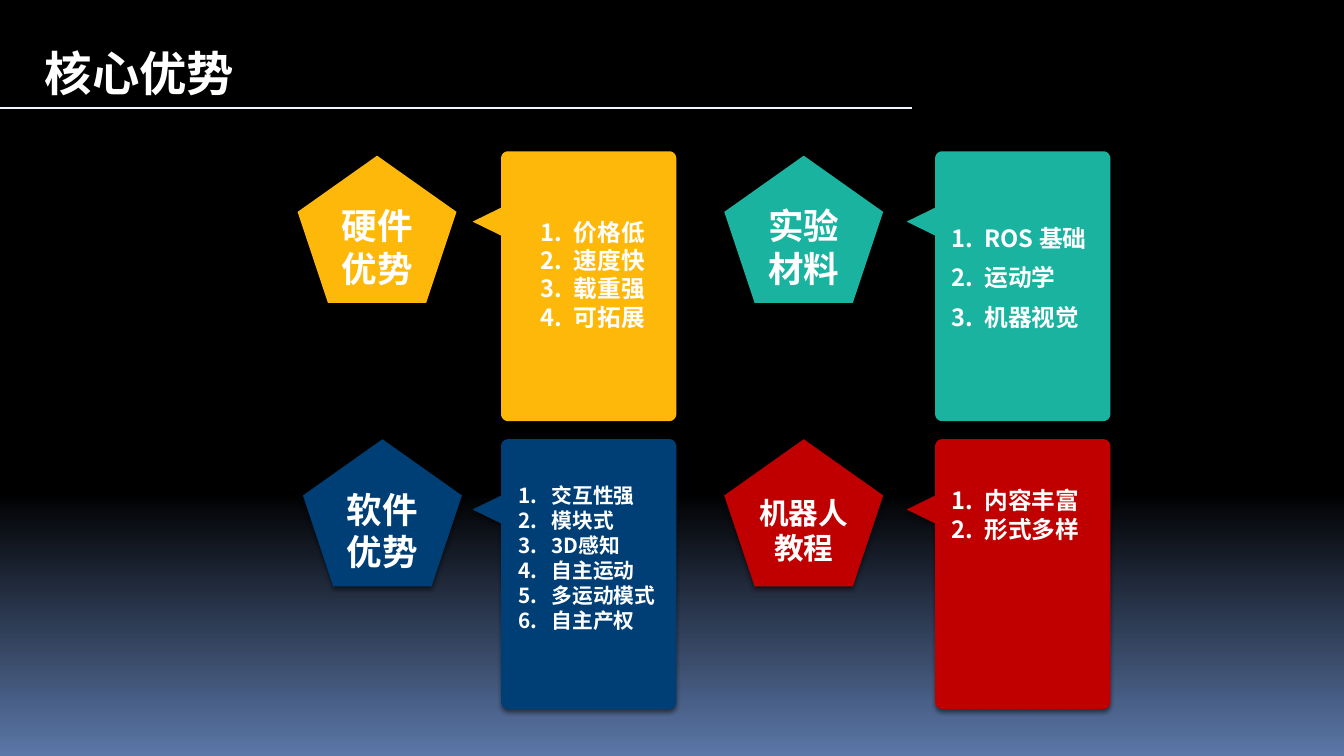
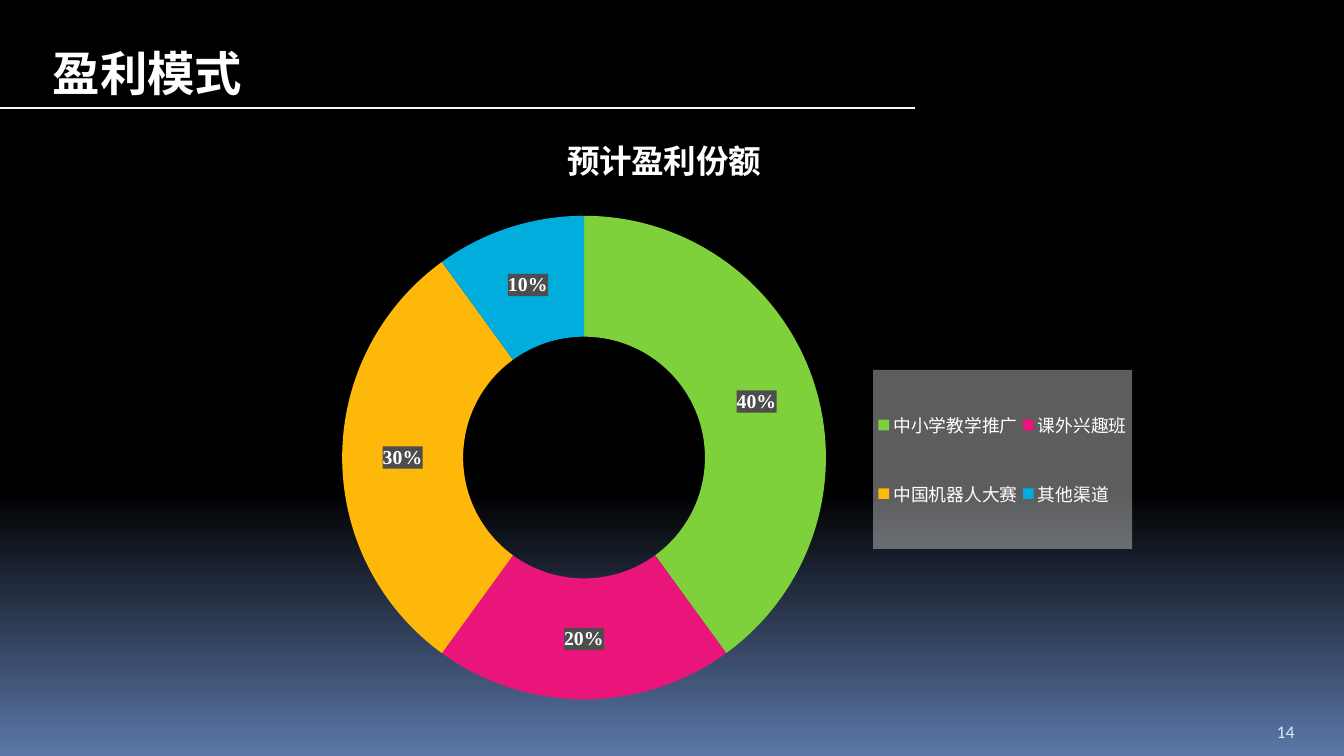
from math import cos, sin, radians
from pptx import Presentation
from pptx.chart.data import CategoryChartData as Data
from pptx.dml.color import RGBColor as RGB
from pptx.enum.chart import XL_CHART_TYPE as Kind, XL_LEGEND_POSITION as Side
from pptx.enum.shapes import MSO_CONNECTOR as Link, MSO_SHAPE as Form
from pptx.enum.text import MSO_ANCHOR as Anchor, MSO_AUTO_SIZE as Auto, PP_ALIGN as Align
from pptx.oxml import parse_xml
from pptx.oxml.ns import nsdecls, qn
from pptx.util import Pt
from lxml.etree import SubElement as Sub

WIDE, HIGH = 907.2, 510.48
SANS, SERIF = "Noto Sans CJK SC", "Times New Roman"
WHITE, RULE = "FFFFFF", "EFF7FF"

CARDS = [
    {"name": "硬件优势", "size": 24, "fill": "FEB80A", "col": 0, "row": 0, "x": 200.9,
     "list": ["价格低", "速度快", "载重强", "可拓展"],
     "box": (357.8, 143.3, 98, 104.4), "font": 16, "para": {}},
    {"name": "实验材料", "size": 24, "fill": "1AB39F", "col": 1, "row": 0, "x": 488.9,
     "list": ["ROS 基础", "运动学", "机器视觉"],
     "box": (635, 149.8, 114.5, 97.2), "font": 16,
     "para": {"line_spacing": 0.9, "space_before": Pt(9.3)}},
    {"name": "软件优势", "size": 24, "fill": "003F75", "col": 0, "row": 1, "x": 204.5,
     "list": ["交互性强", "模块式", "3D感知", "自主运动", "多运动模式", "自主产权"],
     "box": (342.7, 322.6, 113, 126), "font": 14, "para": {}},
    {"name": "机器人教程", "size": 20, "fill": "C00000", "col": 1, "row": 1, "x": 488.9,
     "list": ["内容丰富", "形式多样"],
     "box": (635, 324.7, 114.5, 65.5), "font": 16, "para": {}},
]
PENT_Y, PENT = (105.1, 296.6), (107.3, 99.4)
CALL_X, CALL_Y = (319, 612), (102.2, 296.6)
BODY, TIP, TIP_Y, HALF, RAD = (118.3, 182.2), 19.2, 47.5, 9.4, 4.8

SHARE = "预计盈利份额"
PARTS = [("中小学教学推广", 40, "7FD13B"), ("课外兴趣班", 20, "EA157A"),
         ("中国机器人大赛", 30, "FEB80A"), ("其他渠道", 10, "00ADDC")]
PLOT, KEY = (0.214, 0.165, 0.43, 0.81), (0.686, 0.423, 0.23, 0.3)


def hue(code):
    return RGB.from_string(code)


def pts(*vals):
    return [Pt(v) for v in vals]


def put(item, vals):
    for key, val in vals.items():
        setattr(item, key, val)


def style(font, size, name=SANS, color=WHITE, bold=True):
    font.color.rgb = hue(color)
    put(font, {"size": Pt(size), "bold": bold, "name": name})


def write(para, text, size, **look):
    run = para.add_run()
    run.text = text
    style(run.font, size, **look)
    Sub(run.font._element, qn("a:ea")).set("typeface", look.get("name", SANS))


def paint(shape, color):
    shape.fill.solid()
    shape.fill.fore_color.rgb = hue(color)
    shape.line.fill.background()
    shape.shadow.inherit = False
    glow = Sub(shape._element.spPr.find(qn("a:effectLst")), qn("a:outerShdw"),
               blurRad=str(Pt(3)), dist=str(Pt(2)), dir="5400000", rotWithShape="0")
    tint = Sub(glow, qn("a:srgbClr"), val="000000")
    Sub(tint, qn("a:alpha"), val="50000")


def start(deck, title, left, end):
    slide = deck.slides.add_slide(deck.slide_layouts[5])
    head = slide.shapes.title
    put(head, dict(zip(("left", "top", "width", "height"), pts(left, 24.8, 164, 48))))
    frame = head.text_frame
    put(frame, {"auto_size": Auto.NONE, "vertical_anchor": Anchor.MIDDLE, "word_wrap": True})
    frame.paragraphs[0].alignment = Align.LEFT
    write(frame.paragraphs[0], title, 32)
    rule = slide.shapes.add_connector(Link.STRAIGHT, *pts(0, 72.7, end, 72.7))
    rule.line.color.rgb = hue(RULE)
    rule.line.width = Pt(1.5)
    Sub(rule._element.spPr, qn("a:effectLst"))
    return slide


def pentagon(slide, card):
    shape = slide.shapes.add_shape(
        Form.REGULAR_PENTAGON, *pts(card["x"], PENT_Y[card["row"]], *PENT))
    paint(shape, card["fill"])
    frame = shape.text_frame
    put(frame, {"word_wrap": True, "vertical_anchor": Anchor.MIDDLE})
    put(frame, {"margin_" + s: Pt(2.7) for s in ("left", "right", "top", "bottom")})
    frame.paragraphs[0].alignment = Align.CENTER
    write(frame.paragraphs[0], card["name"], card["size"])


def callout(slide, card):
    x, y = CALL_X[card["col"]], CALL_Y[card["row"]]
    left, right, base = x + TIP, x + TIP + BODY[0], y + BODY[1]
    mids = [(left + RAD, y + RAD, 180), (right - RAD, y + RAD, 270),
            (right - RAD, base - RAD, 0), (left + RAD, base - RAD, 90)]
    edge = [(cx + RAD * cos(radians(a + d)), cy + RAD * sin(radians(a + d)))
            for cx, cy, a in mids for d in range(0, 91, 15)]
    edge += [(left, y + TIP_Y + HALF), (x, y + TIP_Y), (left, y + TIP_Y - HALF)]
    edge = [pts(*p) for p in edge]
    pen = slide.shapes.build_freeform(*edge[0])
    pen.add_line_segments(edge[1:], close=True)
    paint(pen.convert_to_shape(), card["fill"])


def listing(slide, card):
    frame = slide.shapes.add_textbox(*pts(*card["box"])).text_frame
    frame.word_wrap = True
    for i, text in enumerate(card["list"]):
        para = frame.add_paragraph() if i else frame.paragraphs[0]
        put(para, card["para"])
        props = para._p.get_or_add_pPr()
        props.set("marL", str(Pt(22.5)))
        props.set("indent", str(-Pt(22.5)))
        Sub(props, qn("a:buFont"), typeface="+mj-lt")
        Sub(props, qn("a:buAutoNum"), type="arabicPeriod")
        write(para, text, card["font"])


def place(node, spot, box):
    for old in node.findall(qn("c:layout")):
        node.remove(old)
    lay = parse_xml("<c:layout %s/>" % nsdecls("c"))
    man = Sub(lay, qn("c:manualLayout"))
    if node.tag == qn("c:plotArea"):
        Sub(man, qn("c:layoutTarget"), val="inner")
    for key in ("xMode", "yMode"):
        Sub(man, qn("c:" + key), val="edge")
    for key, val in zip("xywh", box):
        Sub(man, qn("c:" + key), val=str(val))
    node.insert(spot, lay)


def back(node, color, alpha):
    node.find(qn("c:txPr")).addprevious(parse_xml(
        '<c:spPr %s><a:solidFill><a:srgbClr val="%s"><a:alpha val="%d"/></a:srgbClr>'
        '</a:solidFill></c:spPr>' % (nsdecls("c", "a"), color, alpha * 1000)))


def ring(slide):
    data = Data()
    data.categories = [p[0] for p in PARTS]
    data.add_series(SHARE, [p[1] for p in PARTS])
    chart = slide.shapes.add_chart(
        Kind.DOUGHNUT, *pts(68.4, 79.2, 759.6, 403.2), data).chart
    style(chart.font, 10, SERIF, bold=False)
    put(chart, {"has_title": True, "has_legend": True})
    write(chart.chart_title.text_frame.paragraphs[0], SHARE, 22, name=SERIF)
    plot = chart.plots[0]
    put(plot, {"vary_by_categories": True, "has_data_labels": True})
    for i, part in enumerate(PARTS):
        fill = plot.series[0].points[i].format.fill
        fill.solid()
        fill.fore_color.rgb = hue(part[2])
    tags = plot.data_labels
    put(tags, {"show_percentage": True, "show_value": False, "number_format": "0%",
               "number_format_is_linked": False})
    style(tags.font, 13.3, SERIF)
    back(tags._element, "4D4D4D", 100)
    key = chart.legend
    put(key, {"position": Side.RIGHT, "include_in_layout": False})
    style(key.font, 12, SERIF, bold=False)
    back(key._element, "F2F2F2", 39)
    place(key._element, 1, KEY)
    place(chart._chartSpace.chart.plotArea, 0, PLOT)


def main():
    deck = Presentation()
    put(deck, {"slide_width": Pt(WIDE), "slide_height": Pt(HIGH)})
    fill = deck.slide_master.background.fill
    fill.gradient()
    fill.gradient_angle = 270
    for stop, (pos, color) in zip(fill.gradient_stops, [(0.65, "000000"), (1, "5B77A8")]):
        stop.position = pos
        stop.color.rgb = hue(color)

    slide = start(deck, "核心优势", 23, 615.6)
    for draw in (pentagon, callout, listing):
        for card in CARDS:
            draw(slide, card)

    slide = start(deck, "盈利模式", 28.4, 617.8)
    ring(slide)
    frame = slide.shapes.add_textbox(*pts(854.6, 477.4, 45.4, 27.4)).text_frame
    put(frame, {"word_wrap": True, "vertical_anchor": Anchor.BOTTOM})
    write(frame.paragraphs[0], "14", 12, name="Calibri", color="D6ECFF", bold=False)
    deck.save("out.pptx")


if __name__ == "__main__":
    main()
